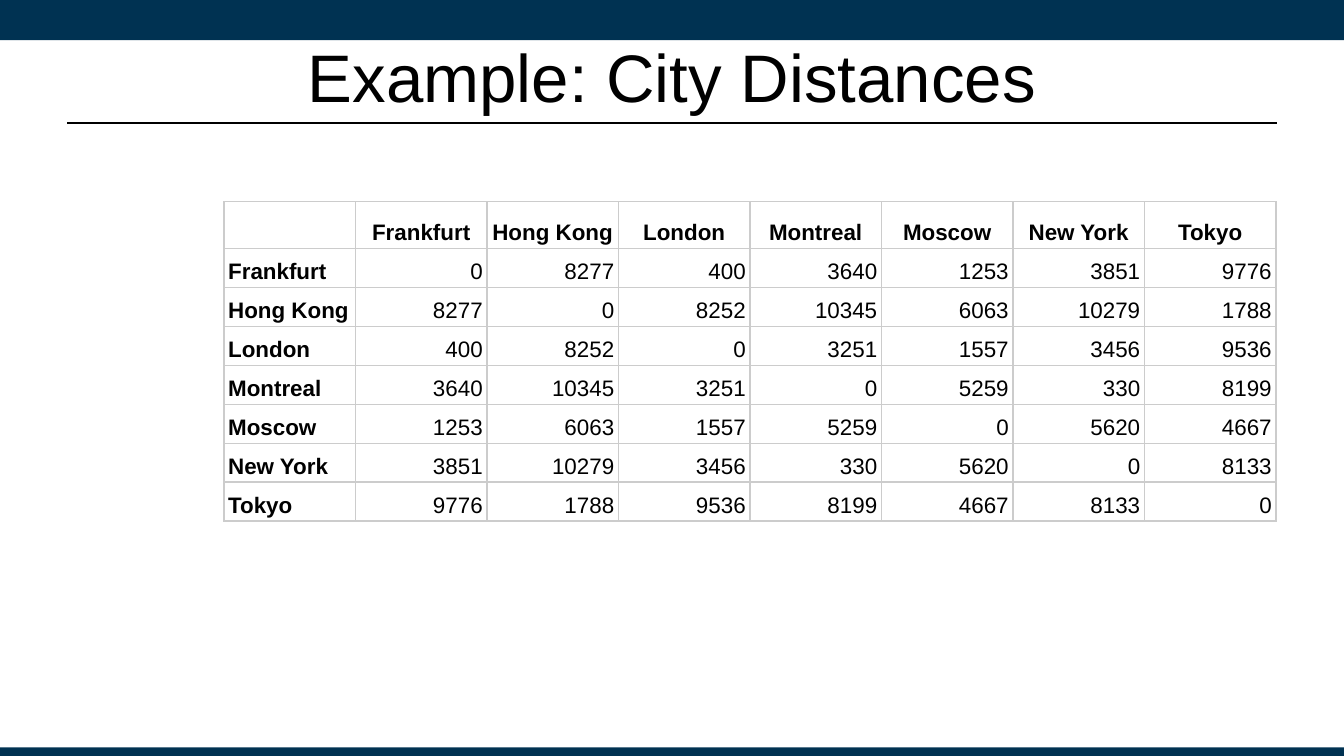
from lxml import etree
from pptx import Presentation
from pptx.dml.color import RGBColor
from pptx.enum.shapes import MSO_CONNECTOR, MSO_SHAPE
from pptx.enum.text import MSO_ANCHOR, PP_ALIGN
from pptx.oxml.ns import qn
from pptx.util import Pt

LEFT, CENTER, RIGHT = PP_ALIGN.LEFT, PP_ALIGN.CENTER, PP_ALIGN.RIGHT
MIDDLE, BOTTOM = MSO_ANCHOR.MIDDLE, MSO_ANCHOR.BOTTOM
RECTANGLE, STRAIGHT = MSO_SHAPE.RECTANGLE, MSO_CONNECTOR.STRAIGHT
TITLE_ONLY = 5

WIDTH, HEIGHT = 720, 405
FONT = "Arial"
NAVY, BLACK, GRID = "003252", "000000", "CCCCCC"

CITIES = ["Frankfurt", "Hong Kong", "London", "Montreal", "Moscow", "New York", "Tokyo"]
DISTANCES = [
    [0, 8277, 400, 3640, 1253, 3851, 9776],
    [8277, 0, 8252, 10345, 6063, 10279, 1788],
    [400, 8252, 0, 3251, 1557, 3456, 9536],
    [3640, 10345, 3251, 0, 5259, 330, 8199],
    [1253, 6063, 1557, 5259, 0, 5620, 4667],
    [3851, 10279, 3456, 330, 5620, 0, 8133],
    [9776, 1788, 9536, 8199, 4667, 8133, 0],
]


def color(value):
    return RGBColor.from_string(value)


def set_font(p, size, bold=False):
    p.font.name = FONT
    p.font.size = Pt(size)
    p.font.bold = bold
    p.font.color.rgb = color(BLACK)


def add_bar(s, top, height):
    """Add a full-width navy band."""
    sp = s.shapes.add_shape(RECTANGLE, 0, Pt(top), Pt(WIDTH), Pt(height))
    sp.shadow.inherit = False
    sp.fill.solid()
    sp.fill.fore_color.rgb = color(NAVY)
    sp.line.fill.background()


def add_title(s, text, left, top, width, height):
    """Fill the title placeholder and draw the rule below it."""
    sp = s.shapes.title
    sp.left, sp.top, sp.width, sp.height = Pt(left), Pt(top), Pt(width), Pt(height)
    tf = sp.text_frame
    tf.text = text
    tf.word_wrap = True
    tf.vertical_anchor = MIDDLE
    p = tf.paragraphs[0]
    p.alignment = CENTER
    set_font(p, 36)

    y = Pt(top + height + 2.7)
    rule = s.shapes.add_connector(STRAIGHT, Pt(left), y, Pt(left + width), y)
    rule.line.color.rgb = color(BLACK)
    rule.line.width = Pt(1.25)
    etree.SubElement(rule._element.spPr, qn("a:effectLst"))


def add_borders(cell):
    tcPr = cell._tc.get_or_add_tcPr()
    for i, side in enumerate(("lnL", "lnR", "lnT", "lnB")):
        ln = etree.Element(qn(f"a:{side}"), w=str(Pt(0.75)))
        fill = etree.SubElement(ln, qn("a:solidFill"))
        etree.SubElement(fill, qn("a:srgbClr"), val=GRID)
        tcPr.insert(i, ln)


def format_cell(cell, text, align, bold):
    cell.margin_left = cell.margin_right = Pt(2.25)
    cell.margin_top = cell.margin_bottom = Pt(1.5)
    cell.vertical_anchor = BOTTOM
    cell.fill.background()
    add_borders(cell)
    cell.text = text
    p = cell.text_frame.paragraphs[0]
    p.alignment = align
    p.line_spacing = 1.15
    set_font(p, 12, bold)


def add_distance_table(s, left, top, width, header_height, row_height):
    rows = [["", *CITIES]] + [[city, *map(str, row)] for city, row in zip(CITIES, DISTANCES)]
    n = len(rows)
    height = header_height + (n - 1) * row_height
    table = s.shapes.add_table(n, n, Pt(left), Pt(top), Pt(width), Pt(height)).table
    table.first_row = table.horz_banding = False
    for column in table.columns:
        column.width = Pt(width / n)
    for i, row in enumerate(rows):
        table.rows[i].height = Pt(row_height if i else header_height)
        for j, text in enumerate(row):
            align = CENTER if i == 0 else LEFT if j == 0 else RIGHT
            format_cell(table.cell(i, j), text, align, bold=i == 0 or j == 0)


def main():
    prs = Presentation()
    prs.slide_width, prs.slide_height = Pt(WIDTH), Pt(HEIGHT)
    s = prs.slides.add_slide(prs.slide_layouts[TITLE_ONLY])
    add_bar(s, 0, 21.5)
    add_bar(s, 400.4, HEIGHT - 400.4)
    add_title(s, "Example: City Distances", 36, 18, 648, 45.3)
    add_distance_table(s, 120, 108, 563.6, 25.1, 20.88)
    prs.save("out.pptx")


if __name__ == "__main__":
    main()
